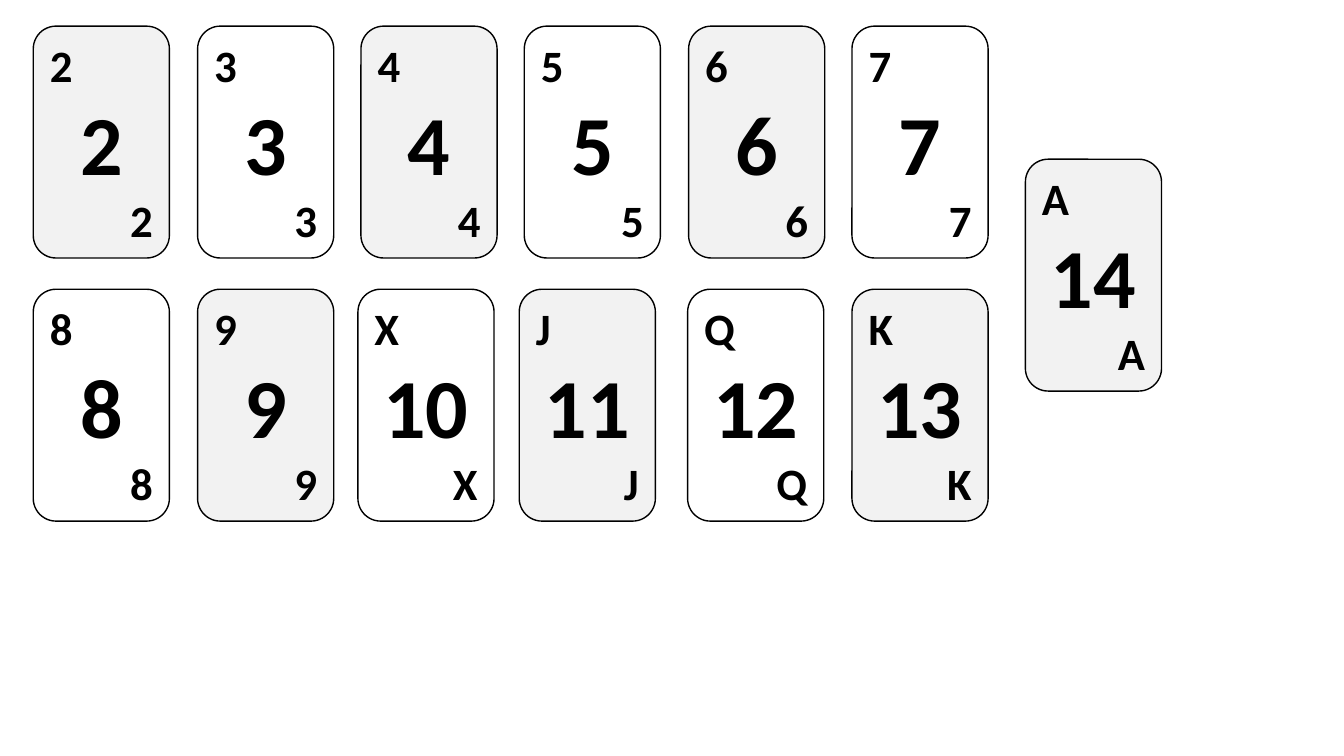
"""Build a slide of thirteen playing cards with their values."""
from pptx import Presentation
from pptx import util as u
from pptx.dml.color import RGBColor
from pptx.enum import shapes, text

BLACK = RGBColor(0x00, 0x00, 0x00)
WHITE = RGBColor(0xFF, 0xFF, 0xFF)
GREY = RGBColor(0xF2, 0xF2, 0xF2)
ALIGN = text.PP_ALIGN
STYLES = ((ALIGN.LEFT, 32), (ALIGN.CENTER, 60), (ALIGN.RIGHT, 32))
LEFTS = (0.33, 1.96, 3.58, 5.2, 6.83, 8.45)
ROWS = (
    (0.26, "234567", LEFTS),
    (2.87, "89XJQK", (0.33, 1.96, 3.55, 5.15, 6.82, 8.45)),
)


def add_card(slide, left, top, rank, value, fill):
    card = slide.shapes.add_shape(
        shapes.MSO_SHAPE.ROUNDED_RECTANGLE,
        u.Inches(left), u.Inches(top), u.Inches(1.35), u.Inches(2.3))
    card.shadow.inherit = False
    card.fill.solid()
    card.fill.fore_color.rgb = fill
    card.line.color.rgb = BLACK
    card.line.width = u.Pt(1)
    frame = card.text_frame
    frame.word_wrap = True
    frame.vertical_anchor = text.MSO_ANCHOR.MIDDLE
    frame.text = f"{rank}\n{value}\n{rank}"
    for line, (align, size) in zip(frame.paragraphs, STYLES):
        line.alignment = align
        font = line.runs[0].font
        font.name = "Calibri"
        font.size = u.Pt(size)
        font.bold = True
        font.color.rgb = BLACK


def main():
    deck = Presentation()
    deck.slide_width = u.Inches(13.33)
    deck.slide_height = u.Inches(7.5)
    slide = deck.slides.add_slide(deck.slide_layouts[6])
    value = 2
    for row, (top, ranks, lefts) in enumerate(ROWS):
        for col, (rank, left) in enumerate(zip(ranks, lefts)):
            fill = WHITE if (row + col) % 2 else GREY
            add_card(slide, left, top, rank, value, fill)
            value += 1
    add_card(slide, 10.17, 1.58, "A", value, GREY)
    deck.save("out.pptx")


if __name__ == "__main__":
    main()
